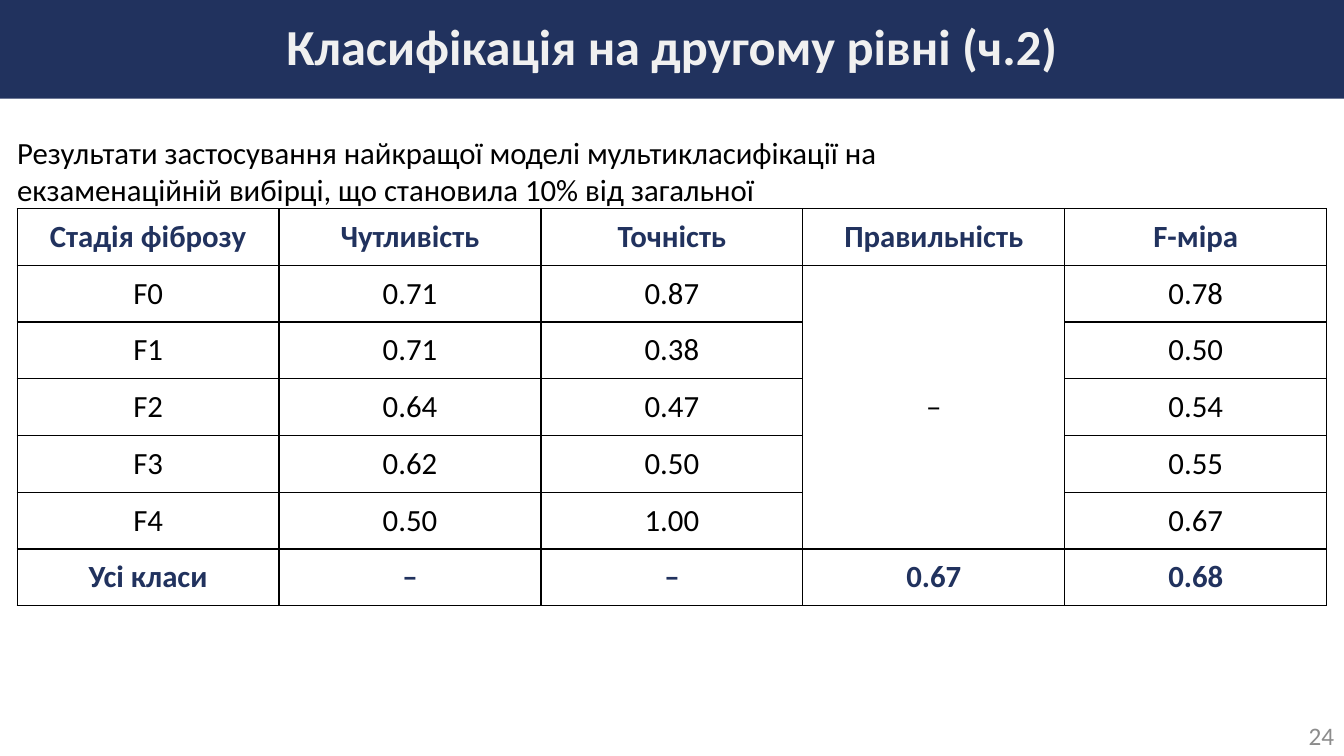
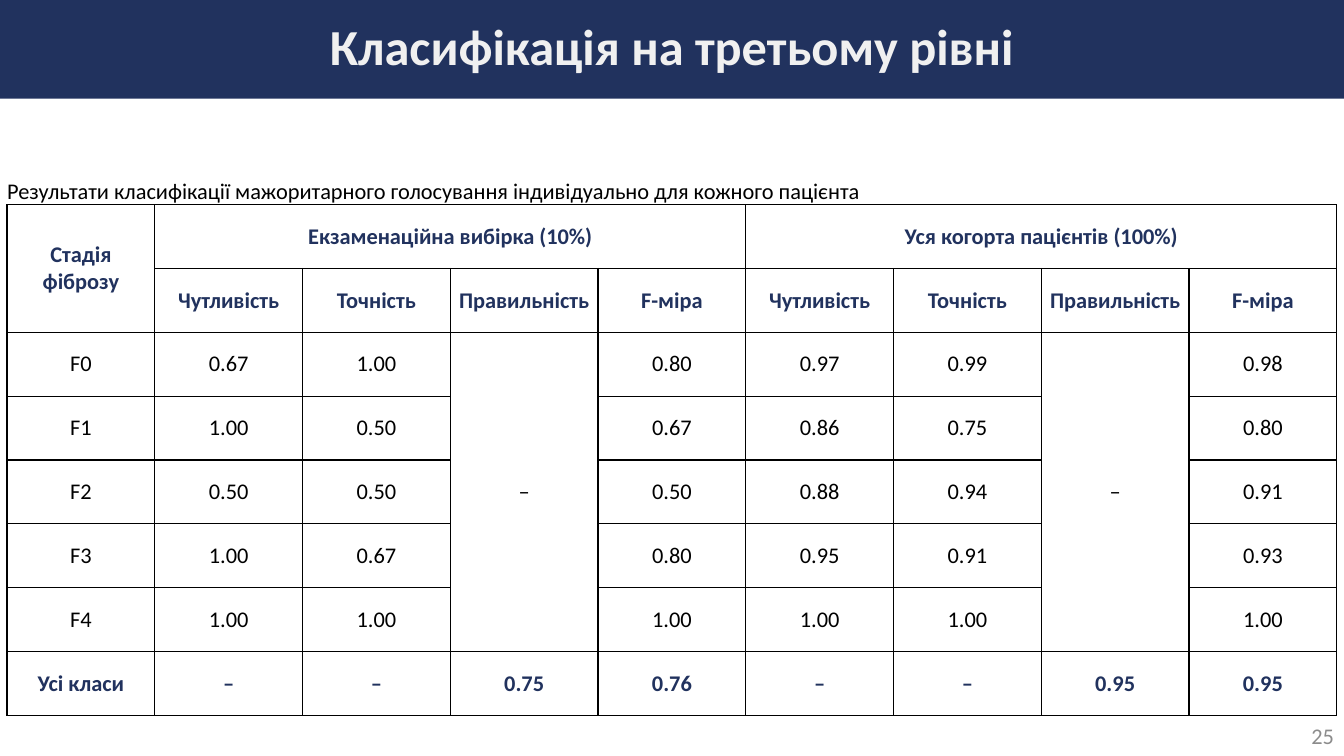
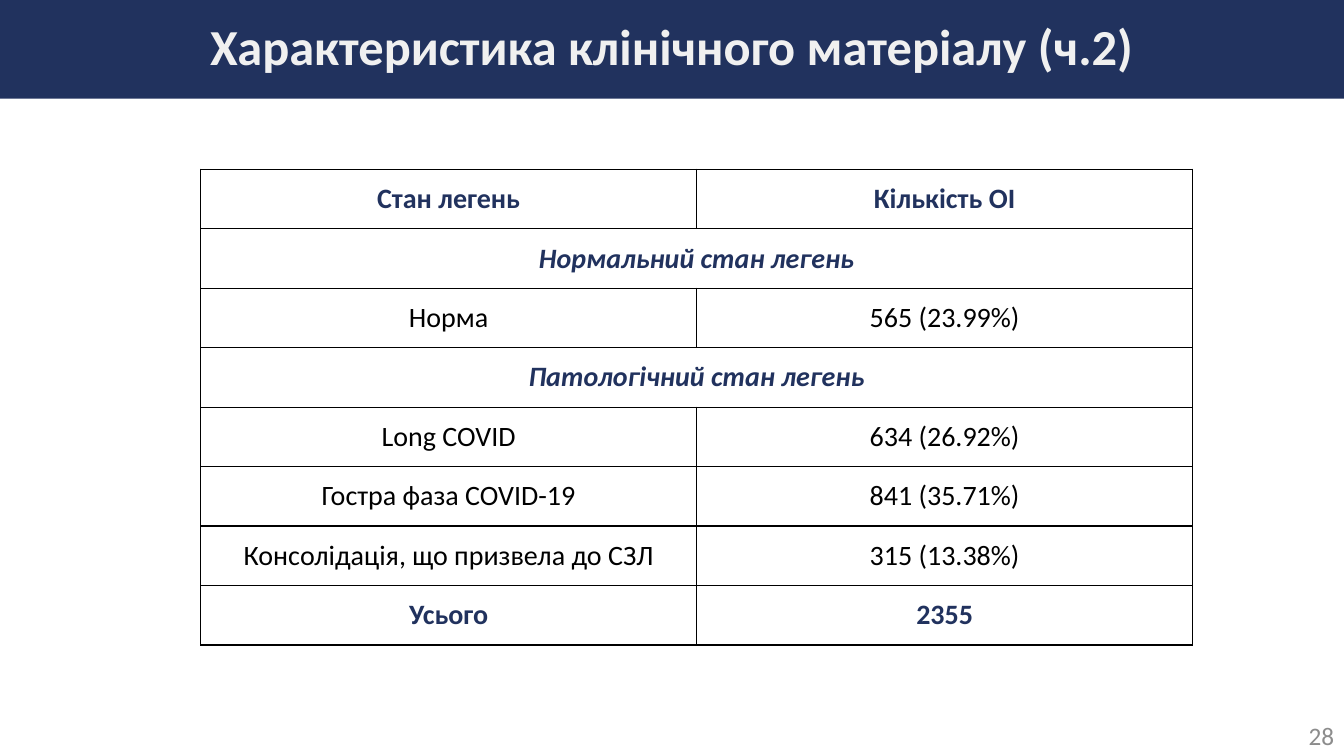
from lxml import etree
from pptx import Presentation
from pptx import util as u
from pptx.dml import color
from pptx.enum import text
from pptx.oxml import ns

NAVY, BLACK, GREY, PALE = "21325E", "000000", "8C8C8C", "F0F0F0"
CENTER, RIGHT, LEFT = text.PP_ALIGN.CENTER, text.PP_ALIGN.RIGHT, text.PP_ALIGN.LEFT
MIDDLE = text.MSO_ANCHOR.MIDDLE


def rgb(hex_string):
    return color.RGBColor.from_string(hex_string)


def write(frame, words, hex_string, align, **font_values):
    """Fill a text frame with one formatted paragraph."""
    paragraph = frame.paragraphs[0]
    paragraph.alignment = align
    run = paragraph.add_run()
    run.text = words
    run.font.color.rgb = rgb(hex_string)
    for key, value in {"name": "Calibri", **font_values}.items():
        setattr(run.font, key, value)
    return paragraph


# Content: None marks a cell covered by a merge; merges are (top, left, bottom, right)
metrics = ["Чутливість", "Точність", "Правильність", "F-міра"]

second_level = {
    "title": "Класифікація на другому рівні (ч.2)",
    "number": "24", "number_size": 18,
    "caption": "Результати застосування найкращої моделі мультикласифікації на "
               "екзаменаційній вибірці, що становила 10% від загальної",
    "caption_box": (0.17, 1.33, 8.68, 0.74),
    "table_box": (0.17, 2.07, 12.99, 3.94),
    "size": 22, "side_margin": 0.07,
    "accent_rows": [0, 6], "italic_rows": [],
    "merges": [(1, 3, 5, 3)],
    "rows": [
        ["Стадія фіброзу", *metrics],
        ["F0", "0.71", "0.87", "–", "0.78"],
        ["F1", "0.71", "0.38", None, "0.50"],
        ["F2", "0.64", "0.47", None, "0.54"],
        ["F3", "0.62", "0.50", None, "0.55"],
        ["F4", "0.50", "1.00", None, "0.67"],
        ["Усі класи", "–", "–", "0.67", "0.68"],
    ],
}

third_level = {
    "title": "Класифікація на третьому рівні",
    "number": "25", "number_size": 16,
    "caption": "Результати класифікації мажоритарного голосування "
               "індивідуально для кожного пацієнта",
    "caption_box": (0.07, 1.76, 11.78, 0.27),
    "table_box": (0.07, 2.03, 13.19, 5.07),
    "size": 16, "side_margin": 0.07,
    "accent_rows": [0, 1, 7], "italic_rows": [],
    "merges": [(0, 0, 1, 0), (0, 1, 0, 4), (0, 5, 0, 8), (2, 3, 6, 3), (2, 7, 6, 7)],
    "rows": [
        ["Стадія фіброзу", "Екзаменаційна вибірка (10%)", None, None, None,
         "Уся когорта пацієнтів (100%)", None, None, None],
        [None, *metrics, *metrics],
        ["F0", "0.67", "1.00", "–", "0.80", "0.97", "0.99", "–", "0.98"],
        ["F1", "1.00", "0.50", None, "0.67", "0.86", "0.75", None, "0.80"],
        ["F2", "0.50", "0.50", None, "0.50", "0.88", "0.94", None, "0.91"],
        ["F3", "1.00", "0.67", None, "0.80", "0.95", "0.91", None, "0.93"],
        ["F4", "1.00", "1.00", None, "1.00", "1.00", "1.00", None, "1.00"],
        ["Усі класи", "–", "–", "0.75", "0.76", "–", "–", "0.95", "0.95"],
    ],
}

clinical_material = {
    "title": "Характеристика клінічного матеріалу (ч.2)",
    "number": "28", "number_size": 18,
    "caption": None,
    "table_box": (1.99, 1.68, 9.84, 4.72),
    "size": 20, "side_margin": 0.1,
    "accent_rows": [0, 1, 3, 7], "italic_rows": [1, 3],
    "merges": [(1, 0, 1, 1), (3, 0, 3, 1)],
    "rows": [
        ["Стан легень", "Кількість ОІ"],
        ["Нормальний стан легень", None],
        ["Норма", "565 (23.99%)"],
        ["Патологічний стан легень", None],
        ["Long COVID", "634 (26.92%)"],
        ["Гостра фаза COVID-19", "841 (35.71%)"],
        ["Консолідація, що призвела до СЗЛ", "315 (13.38%)"],
        ["Усього", "2355"],
    ],
}

deck = Presentation()
deck.slide_width, deck.slide_height = u.Inches(13.33), u.Inches(7.5)
title_only = deck.slide_layouts[5]

for content in (second_level, third_level, clinical_material):
    slide = deck.slides.add_slide(title_only)

    # Title band
    band = slide.shapes.title
    band_place = {"left": 0, "top": 0, "width": 13.33, "height": 0.98}
    for side, length in band_place.items():
        setattr(band, side, u.Inches(length))
    band.fill.solid()
    band.fill.fore_color.rgb = rgb(NAVY)
    band.text_frame.vertical_anchor = MIDDLE
    heading = write(band.text_frame, content["title"], PALE, CENTER,
                    size=u.Pt(36), bold=True)
    heading.line_spacing = 0.9

    # Page number
    number = slide.shapes.add_textbox(*map(u.Inches, (10.33, 7.1, 3, 0.4))).text_frame
    number.word_wrap = True
    number.vertical_anchor = MIDDLE
    write(number, content["number"], GREY, RIGHT, size=u.Pt(content["number_size"]))

    # Table grid with equal columns and rows
    rows = content["rows"]
    left, top, width, height = map(u.Inches, content["table_box"])
    results = slide.shapes.add_table(len(rows), len(rows[0]), left, top, width, height).table
    results.first_row = results.horz_banding = False
    for column in results.columns:
        column.width = width // len(rows[0])
    for row in results.rows:
        row.height = height // len(rows)

    # Cells
    cell_format = {
        "margin_left": u.Inches(content["side_margin"]),
        "margin_right": u.Inches(content["side_margin"]),
        "margin_top": 0, "margin_bottom": 0, "vertical_anchor": MIDDLE,
    }
    for r, values in enumerate(rows):
        accent = r in content["accent_rows"]
        for c, value in enumerate(values):
            cell = results.cell(r, c)
            for key, setting in cell_format.items():
                setattr(cell, key, setting)
            properties = cell._tc.get_or_add_tcPr()
            for edge in ("a:lnL", "a:lnR", "a:lnT", "a:lnB"):
                line = etree.SubElement(properties, ns.qn(edge), w=str(u.Pt(1)))
                line_fill = etree.SubElement(line, ns.qn("a:solidFill"))
                etree.SubElement(line_fill, ns.qn("a:srgbClr"), val=BLACK)
            cell.fill.background()
            if value is not None:
                write(cell.text_frame, value, NAVY if accent else BLACK, CENTER,
                      size=u.Pt(content["size"]), bold=accent,
                      italic=r in content["italic_rows"])
    for first_row, first_column, last_row, last_column in content["merges"]:
        results.cell(first_row, first_column).merge(results.cell(last_row, last_column))

    # Caption above the table
    if content["caption"]:
        caption = slide.shapes.add_textbox(*map(u.Inches, content["caption_box"])).text_frame
        caption_format = {
            "margin_left": 0, "margin_right": 0, "margin_top": 0, "margin_bottom": 0,
            "word_wrap": True, "auto_size": text.MSO_AUTO_SIZE.SHAPE_TO_FIT_TEXT,
        }
        for key, setting in caption_format.items():
            setattr(caption, key, setting)
        write(caption, content["caption"], BLACK, LEFT, size=u.Pt(content["size"]))

deck.save("out.pptx")
